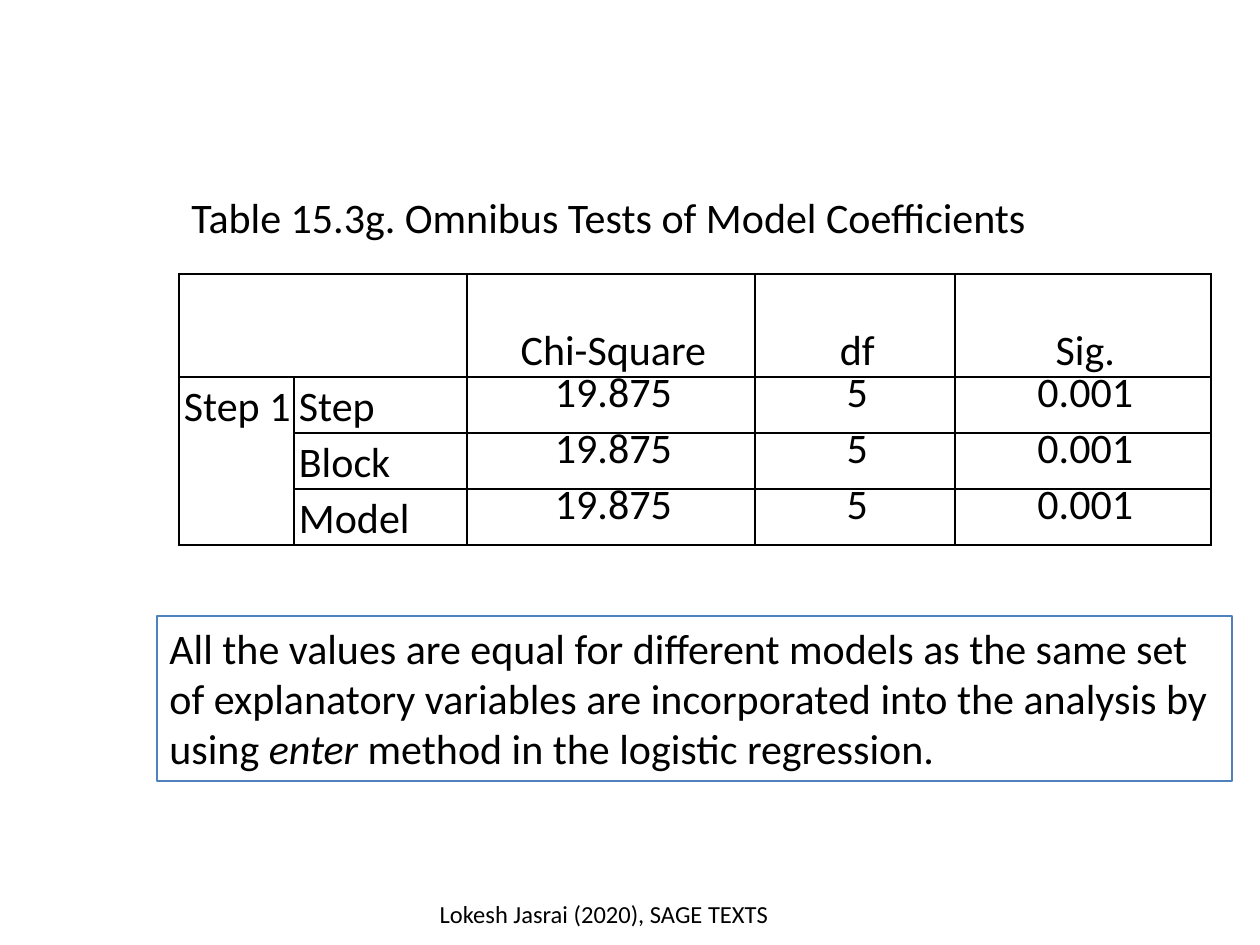
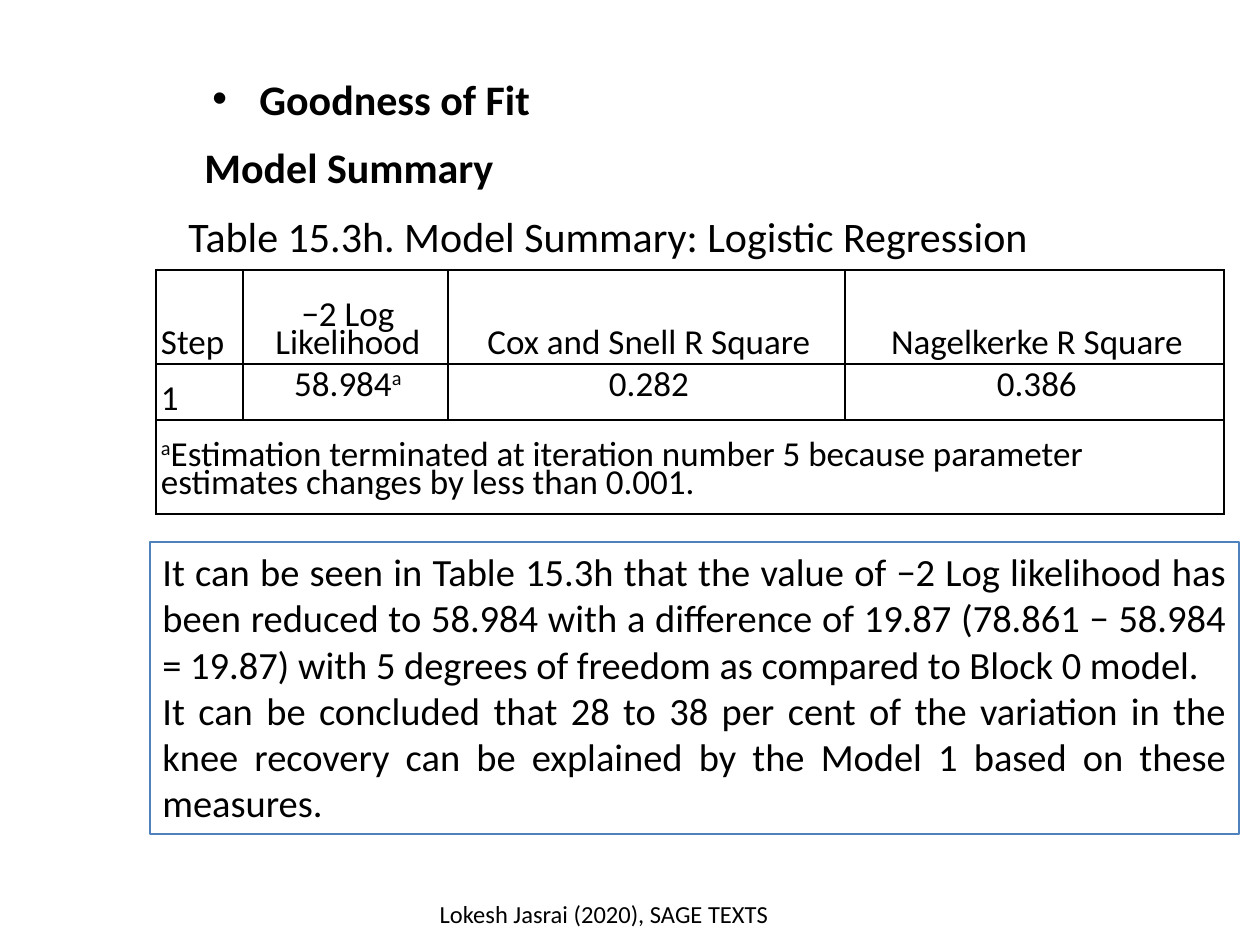
"""Build two slides of logistic regression output tables."""
import pptx
import pptx.util
import pptx.dml.color
import pptx.enum.shapes
import pptx.enum.text
import pptx.oxml
import pptx.oxml.ns

INK, EDGE = "000000", "4F81BD"
SUPER, ITALIC = ("baseline", "30000"), ("i", "1")
FOOT = "Lokesh Jasrai (2020), SAGE TEXTS"
NS = pptx.oxml.ns.nsdecls("a")
tint = pptx.dml.color.RGBColor.from_string
Align = pptx.enum.text.PP_ALIGN
Anchor = pptx.enum.text.MSO_ANCHOR
Fit = pptx.enum.text.MSO_AUTO_SIZE


def px(n):
    return pptx.util.Emu(round(n * 914400 / 126))


def put(frame, lines, size, align=Align.LEFT, bold=False, mark=ITALIC):
    """Write the lines; parts between bars get the mark."""
    for i, line in enumerate(lines):
        para = frame.add_paragraph() if i else frame.paragraphs[0]
        para.alignment = align
        for j, part in enumerate(line.split("|")):
            if not part:
                continue
            run = para.add_run()
            run.text = part
            run.font.size = pptx.util.Pt(size)
            run.font.name = "Calibri"
            run.font.bold = bold
            run.font.color.rgb = tint(INK)
            if j % 2:
                run._r.get_or_add_rPr().set(*mark)


pages = [
    dict(
        heads=[("Table 15.3g. Omnibus Tests of Model Coefficients", 179, 185, 868, False)],
        place=(179, 274), cols=[115, 173, 288, 200, 256], rows=[103, 56, 56, 56], size=24,
        cells=[["", "", "Chi-Square", "df", "Sig."],
               ["Step 1", "Step", "19.875", "5", "0.001"],
               ["", "Block", "19.875", "5", "0.001"],
               ["", "Model", "19.875", "5", "0.001"]],
        spans=[(0, 0, 0, 1), (1, 0, 3, 0)], labels=2,
        box=(157, 616, 1075, 165), note=24, align=Align.LEFT,
        lines=["All the values are equal for different models as the same set of explanatory "
               "variables are incorporated into the analysis by using |enter |method in the "
               "logistic regression."]),
    dict(
        heads=[("Goodness of Fit", 200, 67, 369, True),
               ("Model Summary", 192, 135, 326, True),
               ("Table 15.3h. Model Summary: Logistic Regression", 176, 204, 882, False)],
        place=(156, 270), cols=[87, 205, 397, 379], rows=[94, 56, 94], size=20,
        cells=[["Step", "−2 Log Likelihood", "Cox and Snell R Square", "Nagelkerke R Square"],
               ["1", "58.984|a|", "0.282", "0.386"],
               ["|a|Estimation terminated at iteration number 5 because parameter "
                "estimates changes by less than 0.001.", "", "", ""]],
        spans=[(2, 0, 2, 3)], labels=1,
        box=(150, 542, 1089, 292), note=22, align=Align.JUSTIFY,
        lines=["It can be seen in Table 15.3h that the value of −2 Log likelihood has been "
               "reduced to 58.984 with a difference of 19.87 (78.861 − 58.984 = 19.87) with "
               "5 degrees of freedom as compared to Block 0 model.",
               "It can be concluded that 28 to 38 per cent of the variation in the knee "
               "recovery can be explained by the Model 1 based on these measures."]),
]

deck = pptx.Presentation()
deck.slide_width, deck.slide_height = px(1260), px(945)

for page in pages:
    slide = deck.slides.add_slide(deck.slide_layouts[6])
    shapes = slide.shapes

    for text, left, top, width, bold in page["heads"]:
        frame = shapes.add_textbox(px(left), px(top), px(width), px(63)).text_frame
        frame.word_wrap = text == "Goodness of Fit"
        if frame.word_wrap:
            props = frame.paragraphs[0]._p.get_or_add_pPr()
            props.set("marL", str(px(47)))
            props.set("indent", str(-px(47)))
            props.append(pptx.oxml.parse_xml(f'<a:buFont {NS} typeface="Arial"/>'))
            props.append(pptx.oxml.parse_xml(f'<a:buChar {NS} char="•"/>'))
        else:
            frame.auto_size = Fit.SHAPE_TO_FIT_TEXT
        put(frame, [text], 24, bold=bold)

    cols, rows = page["cols"], page["rows"]
    left, top = page["place"]
    table = shapes.add_table(len(rows), len(cols), px(left), px(top),
                             px(sum(cols)), px(sum(rows))).table
    table.first_row = table.horz_banding = False
    for col, width in zip(table.columns, cols):
        col.width = px(width)
    for row, height in zip(table.rows, rows):
        row.height = px(height)
    for r, row in enumerate(page["cells"]):
        for c, text in enumerate(row):
            cell = table.cell(r, c)
            label = c < page["labels"]
            cell.margin_right = cell.margin_bottom = 0
            cell.margin_left = px(5)
            cell.margin_top = px(28 if r and label else 0)
            cell.vertical_anchor = Anchor.BOTTOM if not r else Anchor.TOP if label else Anchor.MIDDLE
            cell.fill.background()
            props = cell._tc.get_or_add_tcPr()
            for i, side in enumerate("LRTB"):
                props.insert(i, pptx.oxml.parse_xml(
                    f'<a:ln{side} {NS} w="12700"><a:solidFill><a:srgbClr val="{INK}"/>'
                    f'</a:solidFill></a:ln{side}>'))
            put(cell.text_frame, [text], page["size"],
                Align.LEFT if label else Align.CENTER, mark=SUPER)
            cell.text_frame.paragraphs[0].line_spacing = pptx.util.Pt(16)
    for r, c, down, across in page["spans"]:
        table.cell(r, c).merge(table.cell(down, across))

    box = shapes.add_shape(pptx.enum.shapes.MSO_SHAPE.RECTANGLE, *map(px, page["box"]))
    box.shadow.inherit = False
    box.fill.background()
    box.line.color.rgb = tint(EDGE)
    box.line.width = pptx.util.Pt(0.75)
    box.text_frame.word_wrap = True
    box.text_frame.vertical_anchor = Anchor.TOP
    put(box.text_frame, page["lines"], page["note"], page["align"])

    foot = shapes.add_textbox(px(379), px(893), px(450), px(50)).text_frame
    foot.word_wrap = True
    put(foot, [FOOT], 14, Align.CENTER)

deck.save("out.pptx")
